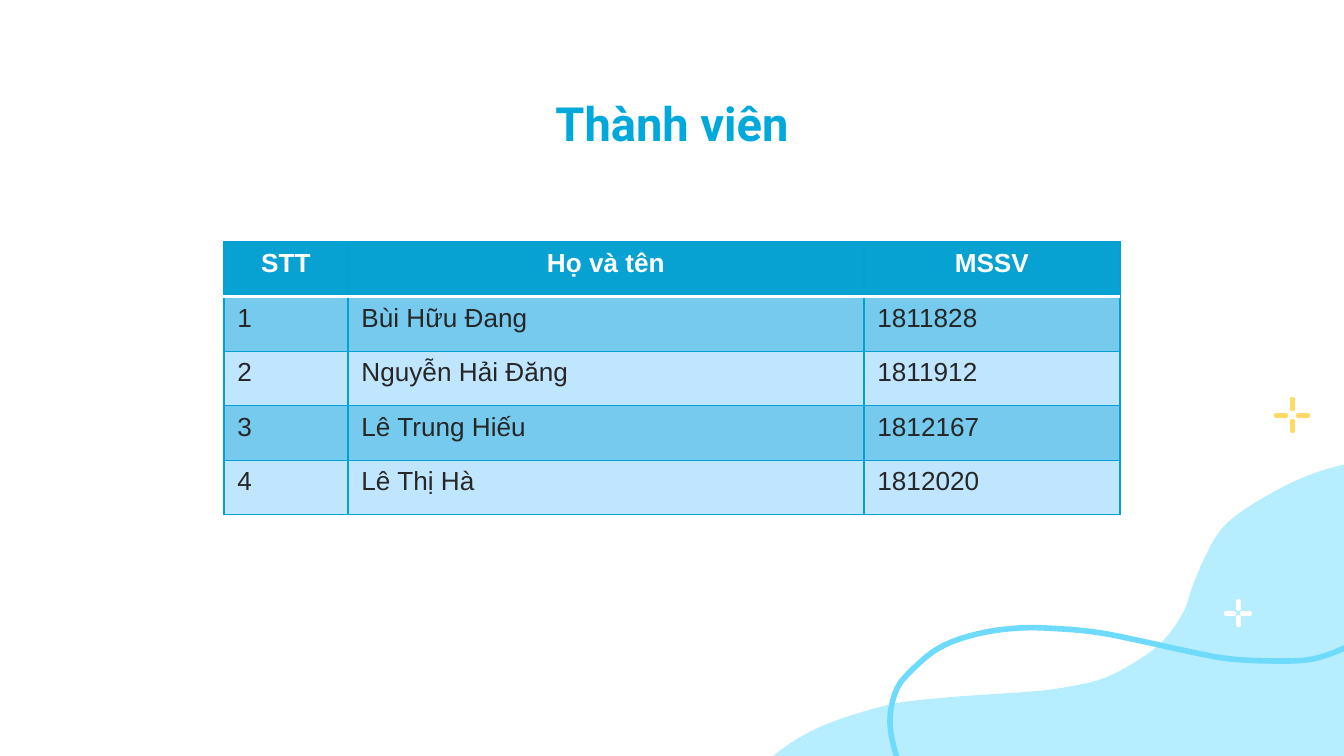
import lxml.etree
import pptx
import pptx.dml.color
import pptx.enum.shapes
import pptx.enum.text
import pptx.oxml.ns
import pptx.util

EMU_PER_PX = 914400 / 134.4
COLORS = {
    "title": "00A8DB",
    "header": "07A2D1",
    "border": "02A1D1",
    "dark_row": "76CAED",
    "light_row": "C0E5FF",
    "text": "262626",
    "white": "FFFFFF",
    "wave": "B6EEFF",
    "ribbon": "6EDBFC",
    "yellow": "FFD966",
}
MEMBERS = [
    ("STT", "Họ và tên", "MSSV"),
    ("1", "Bùi Hữu Đang", "1811828"),
    ("2", "Nguyễn Hải Đăng", "1811912"),
    ("3", "Lê Trung Hiếu", "1812167"),
    ("4", "Lê Thị Hà", "1812020"),
]
COLUMN_WIDTHS = [124, 516, 256]
WAVE_LEFT = [
    (741, 902), (724, 851), (732, 809), (754, 774), (785, 747), (818, 728),
    (856, 714), (898, 703), (942, 698), (981, 695), (1027, 692), (1062, 688),
    (1102, 679), (1137, 661), (1163, 641), (1183, 613), (1193, 585),
    (1206, 555), (1220, 531), (1241, 512), (1281, 488), (1318, 472),
    (1360, 461), (1404, 454), (1450, 450), (1505, 454), (1560, 465),
    (1587, 480), (1598, 504), (1594, 563), (1586, 624),
]
WAVE_CORNER = (1586, 902)
RIBBON = [
    (952, 883), (950, 860), (931, 827), (907, 782), (895, 751), (890, 720),
    (896, 691), (910, 672), (939, 648), (977, 634), (1020, 628), (1063, 629),
    (1101, 633), (1141, 641), (1196, 653), (1231, 659), (1273, 661),
    (1313, 659), (1349, 646), (1378, 629), (1399, 605), (1413, 575),
]


def px(length):
    return pptx.util.Emu(round(length * EMU_PER_PX))


def rgb(name):
    return pptx.dml.color.RGBColor.from_string(COLORS[name])


def write_text(frame, text, *, font, size, color, bold=False, align="LEFT"):
    para = frame.paragraphs[0]
    para.alignment = pptx.enum.text.PP_ALIGN[align]
    span = para.add_run()
    span.text = text
    span.font.name = font
    span.font.size = pptx.util.Pt(size)
    span.font.bold = bold
    span.font.color.rgb = rgb(color)


def paint(shape, fill=None, line=None, width=0):
    shape.shadow.inherit = False
    if fill:
        shape.fill.solid()
        shape.fill.fore_color.rgb = rgb(fill)
    else:
        shape.fill.background()
    if line:
        shape.line.color.rgb = rgb(line)
        shape.line.width = pptx.util.Pt(width)
    else:
        shape.line.fill.background()


def smooth(anchors, steps=5):
    """Sample a Catmull-Rom curve through the anchors."""
    padded = [anchors[0], *anchors, anchors[-1]]
    points = []
    for a, b, c, d in zip(padded, padded[1:], padded[2:], padded[3:]):
        for t in (step / steps for step in range(steps)):
            points.append(tuple(
                0.5 * (2 * q + (r - p) * t + (2 * p - 5 * q + 4 * r - s) * t ** 2
                       + (3 * q - p - 3 * r + s) * t ** 3)
                for p, q, r, s in zip(a, b, c, d)))
    return points + [anchors[-1]]


def add_outline(slide, points, close, **look):
    corners = [(px(x), px(y)) for x, y in points]
    builder = slide.shapes.build_freeform(*corners[0])
    builder.add_line_segments(corners[1:], close=close)
    paint(builder.convert_to_shape(), **look)


def add_sparkle(slide, x, y, gap, length, color):
    """Four thin arms around the centre (x, y)."""
    group = slide.shapes.add_group_shape()
    for offset in (-gap - length, gap):
        for left, top, width, height in ((x, y + offset, 1, length),
                                         (x + offset, y, length, 1)):
            arm = group.shapes.add_shape(
                pptx.enum.shapes.MSO_SHAPE.RECTANGLE,
                px(left), px(top), px(width), px(height))
            paint(arm, fill=color, line=color, width=2.25)


def set_border(cell, side, color, width):
    properties = cell._tc.get_or_add_tcPr()
    line = lxml.etree.SubElement(
        properties, pptx.oxml.ns.qn("a:ln" + side), w=str(pptx.util.Pt(width)))
    fill = lxml.etree.SubElement(line, pptx.oxml.ns.qn("a:solidFill"))
    lxml.etree.SubElement(fill, pptx.oxml.ns.qn("a:srgbClr"), val=COLORS[color])


def format_cell(cell, row, text):
    header = row == 0
    for side in "LRTB":
        under_header = (row, side) in ((0, "B"), (1, "T"))
        set_border(cell, side, *(("white", 2) if under_header else ("border", 0.75)))
    cell.fill.solid()
    cell.fill.fore_color.rgb = rgb(
        "header" if header else "dark_row" if row % 2 else "light_row")
    write_text(cell.text_frame, text, font="Arial", size=14, bold=header,
               color="white" if header else "text",
               align="CENTER" if header else "LEFT")


def add_member_table(slide):
    table = slide.shapes.add_table(
        len(MEMBERS), len(COLUMN_WIDTHS),
        px(224), px(242), px(sum(COLUMN_WIDTHS)), px(273)).table
    for column, width in zip(table.columns, COLUMN_WIDTHS):
        column.width = px(width)
    for row, member in enumerate(MEMBERS):
        for column, text in enumerate(member):
            format_cell(table.cell(row, column), row, text)


def set_title(slide, text):
    title = slide.shapes.title
    title.left, title.top, title.width, title.height = map(px, (106, 79, 1132, 85))
    frame = title.text_frame
    frame.margin_left = frame.margin_right = px(13)
    frame.margin_top = frame.margin_bottom = px(13)
    frame.vertical_anchor = pptx.enum.text.MSO_ANCHOR.BOTTOM
    write_text(frame, text, font="Roboto", size=25.2, color="title",
               bold=True, align="CENTER")


def main():
    deck = pptx.Presentation()
    deck.slide_width, deck.slide_height = px(1344), px(756)
    slide = deck.slides.add_slide(deck.slide_layouts[5])
    add_outline(slide, smooth(WAVE_LEFT) + [WAVE_CORNER], True, fill="wave")
    add_outline(slide, smooth(RIBBON), False, line="ribbon", width=3)
    add_sparkle(slide, 1292, 415, 6, 10, "yellow")
    add_sparkle(slide, 1238, 613, 4, 8, "white")
    set_title(slide, "Thành viên")
    add_member_table(slide)
    deck.save("out.pptx")


if __name__ == "__main__":
    main()
